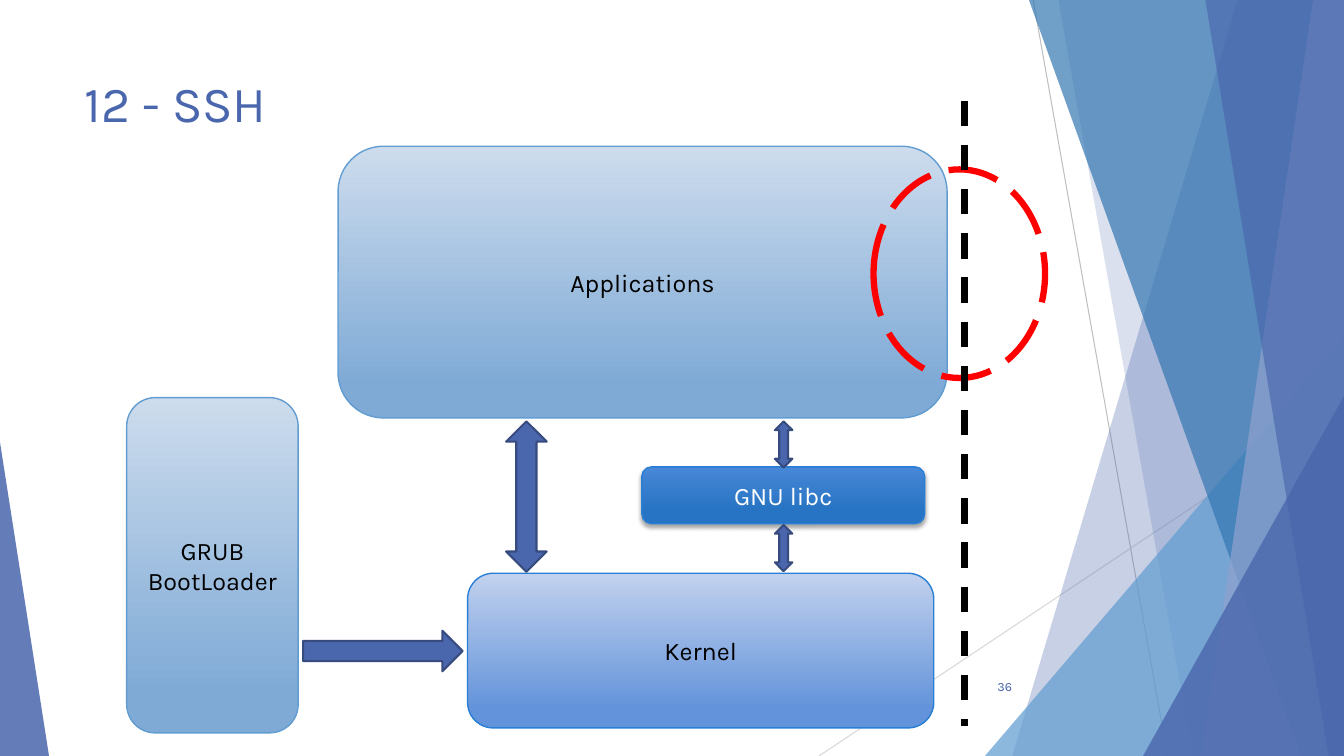
from lxml import etree
from pptx import Presentation
from pptx.dml.color import RGBColor
from pptx.enum.dml import MSO_LINE_DASH_STYLE as Dash
from pptx.enum.shapes import MSO_CONNECTOR as Connector, MSO_SHAPE as Shape
from pptx.enum.text import MSO_ANCHOR as Anchor, PP_ALIGN as Align
from pptx.oxml import parse_xml
from pptx.oxml.ns import nsdecls, qn
from pptx.util import Pt

WIDTH, HEIGHT = 960, 540
FONT = "Karla"
COLORS = {
    "white": "FFFFFF", "black": "000000", "red": "FF0000",
    "indigo": "4A66AC", "indigo_edge": "374B7F", "lavender": "90A2CF",
    "sky": "629DD1", "ocean": "3477B2", "royal": "297FD5",
    "gray": "BFBFBF", "light_gray": "D9D9D9",
}
GRADIENTS = {
    "sky": ((0, "CDDCED"), (0.88, "7FAAD6")),
    "kernel": ((0, "C2D1EE"), (0.88, "6393DA")),
    "libc": ((0, "4887D7"), (0.78, "2674C3")),
}


def rgb(name):
    return RGBColor.from_string(COLORS[name])


def set_line(line, color, width, dash=None):
    line.color.rgb = rgb(color)
    line.width = Pt(width)
    if dash:
        line.dash_style = dash


def set_solid(shape, color, opacity=100):
    """Fill a shape with one colour at an opacity in percent."""
    shape.fill.solid()
    shape.fill.fore_color.rgb = rgb(color)
    if opacity < 100:
        color_element = shape._element.spPr.find(qn("a:solidFill"))[0]
        etree.SubElement(color_element, qn("a:alpha"), val=str(opacity * 1000))


def set_gradient(shape, stops):
    shape.fill.gradient()
    shape.fill.gradient_angle = 270
    for stop, (position, color) in zip(shape.fill.gradient_stops, stops):
        stop.position = position
        stop.color.rgb = RGBColor.from_string(color)


def set_text(shape, text, size, color, align=Align.LEFT, anchor=Anchor.TOP):
    frame = shape.text_frame
    frame.text = text
    frame.word_wrap = True
    frame.vertical_anchor = anchor
    font_format = {"name": FONT, "size": Pt(size)}
    for paragraph in frame.paragraphs:
        paragraph.alignment = align
        for name, value in font_format.items():
            setattr(paragraph.font, name, value)
        paragraph.font.color.rgb = rgb(color)


def add_preset(slide, preset, box):
    shape = slide.shapes.add_shape(preset, *map(Pt, box))
    shape.shadow.inherit = False
    return shape


def add_line(slide, start, end, color, width, dash=None):
    line = slide.shapes.add_connector(Connector.STRAIGHT, *map(Pt, start + end))
    set_line(line.line, color, width, dash)
    etree.SubElement(line._element.spPr, qn("a:effectLst"))


def add_triangle(slide, box, apex, color, opacity):
    triangle = add_preset(slide, Shape.ISOSCELES_TRIANGLE, box)
    triangle.adjustments[0] = apex
    set_solid(triangle, color, opacity)
    triangle.line.fill.background()


def add_band(slide, box, top_x, bottom_x, color, opacity):
    """Add a full-height band with a slanted left edge, ending at the box's right."""
    left, top, width, height = box
    right, bottom = left + width, top + height
    builder = slide.shapes.build_freeform(Pt(left + top_x), Pt(top), scale=1.0)
    corners = ((right, top), (right, bottom), (left + bottom_x, bottom))
    builder.add_line_segments([(Pt(x), Pt(y)) for x, y in corners], close=True)
    band = builder.convert_to_shape()
    band.shadow.inherit = False
    set_solid(band, color, opacity)
    band.line.fill.background()


def add_backdrop(slide, box):
    """Add the facets along the right edge and the wedge at the lower left."""
    left, top, width, height = box
    right, bottom = left + width, top + height
    side = (left + 700, top, width - 700, height)

    def add_corner(corner_width, corner_height, color, opacity):
        corner = (right - corner_width, bottom - corner_height, corner_width, corner_height)
        add_triangle(slide, corner, 1, color, opacity)

    add_line(slide, (left + 738, top), (left + 834, bottom), "gray", 0.75)
    add_line(slide, (right, top + 290), (left + 585, bottom), "light_gray", 0.75)
    add_band(slide, side, 184, 23, "indigo", 30)
    add_band(slide, side, 56, 152, "indigo", 20)
    add_corner(256.5, 300, "sky", 72)
    add_band(slide, side, 35, 229.5, "ocean", 70)
    add_band(slide, side, 238, 158, "lavender", 70)
    add_band(slide, side, 161, 249, "indigo", 65)
    add_corner(143.5, 257, "indigo", 80)
    add_triangle(slide, (left, bottom - 224, 35, 224), 0, "indigo", 85)


def add_label(slide, box, *text_format):
    set_text(slide.shapes.add_textbox(*map(Pt, box)), *text_format)


def add_component(slide, box, text, gradient, edge, color="black"):
    component = add_preset(slide, Shape.ROUNDED_RECTANGLE, box)
    set_gradient(component, GRADIENTS[gradient])
    set_line(component.line, edge, 1)
    set_text(component, text, 18, color, Align.CENTER, Anchor.MIDDLE)
    return component


def add_drop_shadow(shape):
    properties = shape._element.spPr
    properties.remove(properties.find(qn("a:effectLst")))
    properties.append(parse_xml(
        f'<a:effectLst {nsdecls("a")}>'
        f'<a:outerShdw blurRad="{Pt(3)}" dist="{Pt(2)}" dir="5400000" rotWithShape="0">'
        f'<a:srgbClr val="{COLORS["black"]}"><a:alpha val="35000"/></a:srgbClr>'
        '</a:outerShdw></a:effectLst>'))


def add_block_arrow(slide, preset, box):
    arrow = add_preset(slide, preset, box)
    set_solid(arrow, "indigo")
    set_line(arrow.line, "indigo_edge", 1.5)


def add_system_diagram(slide, box):
    """Add the boot loader, kernel, library and applications with their arrows."""
    left, top, width, height = box

    def place(x, y, part_width, part_height):
        return left + x, top + y, part_width, part_height

    add_component(slide, place(0, 179.5, 122.5, 239.5), "GRUB\nBootLoader", "sky", "sky")
    add_block_arrow(slide, Shape.RIGHT_ARROW, place(126, 346, 114, 29))
    add_component(slide, place(243.5, 305, width - 253, 110.5), "Kernel", "kernel", "royal")
    libc = add_component(slide, place(368, 229, 202, 40.5), "GNU libc", "libc", "royal", "white")
    add_drop_shadow(libc)
    add_component(slide, place(151, 0, width - 151, 194), "Applications", "sky", "sky")
    for arrow_box in ((271, 196.5, 29, 107.5), (463, 270.5, 12.5, 33), (463, 196.5, 12.5, 33)):
        add_block_arrow(slide, Shape.UP_DOWN_ARROW, place(*arrow_box))


def add_boundary(slide, box):
    """Add the dashed boundary line and the ring around the crossing point."""
    left, top, width, height = box
    ring = add_preset(slide, Shape.OVAL, (left, top + 49, width, 149))
    ring.fill.background()
    set_line(ring.line, "red", 4.5, Dash.LONG_DASH)
    x = left + 65
    add_line(slide, (x, top), (x, top + height), "black", 4.5, Dash.DASH)


def main():
    presentation = Presentation()
    presentation.slide_width, presentation.slide_height = Pt(WIDTH), Pt(HEIGHT)
    slide = presentation.slides.add_slide(presentation.slide_layouts[6])
    slide.background.fill.solid()
    slide.background.fill.fore_color.rgb = rgb("white")
    add_backdrop(slide, (0, 0, WIDTH, HEIGHT))
    add_label(slide, (53.5, 48, 677, 104), "12 - SSH", 36, "indigo")
    add_label(slide, (676, 476, 54, 29), "36", 9, "indigo", Align.RIGHT, Anchor.MIDDLE)
    add_system_diagram(slide, (90.5, 104.5, 586, 419))
    add_boundary(slide, (624, 72, 122.5, 446.5))
    presentation.save("out.pptx")


if __name__ == "__main__":
    main()
